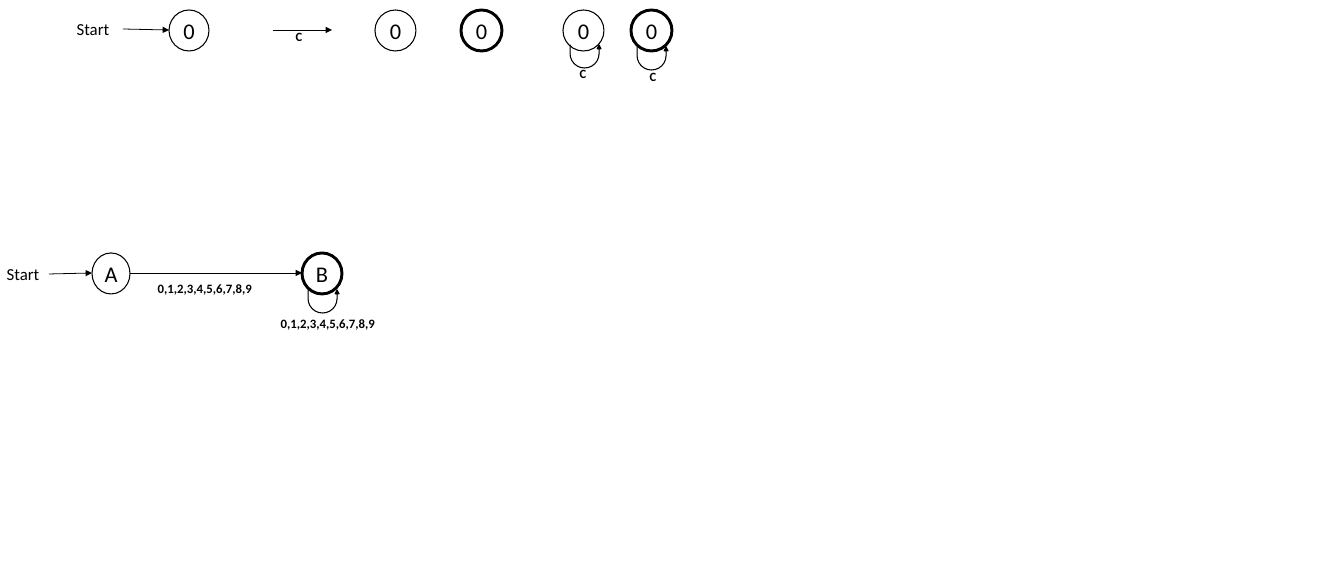
from pptx import Presentation
from pptx.dml.color import RGBColor
from pptx.enum.shapes import MSO_CONNECTOR, MSO_SHAPE
from pptx.enum.text import MSO_ANCHOR, PP_ALIGN
from pptx.oxml.ns import qn
from pptx.util import Pt
from lxml import etree

ELLIPSE, UTURN = MSO_SHAPE.OVAL, MSO_SHAPE.U_TURN_ARROW
STRAIGHT = MSO_CONNECTOR.STRAIGHT
CENTER, MIDDLE = PP_ALIGN.CENTER, MSO_ANCHOR.MIDDLE
PX = 914400 / 76.8
BLACK = "000000"
DIGITS = "0,1,2,3,4,5,6,7,8,9"


def px(*lengths):
    return [round(n * PX) for n in lengths]


def color(hex_string):
    return RGBColor.from_string(hex_string)


prs = Presentation()
prs.slide_width, prs.slide_height = px(1344, 576)
s = prs.slides.add_slide(prs.slide_layouts[6])

states = [
    ("0", 169, 10, 40, 1),
    ("0", 375, 10, 41, 1),
    ("0", 461, 10, 41, 2.75),
    ("0", 563, 10, 41, 1),
    ("0", 631, 10, 41, 2.75),
    ("A", 92, 253, 38, 1),
    ("B", 302, 253, 40, 2.75),
]
for name, x, y, w, weight in states:
    sp = s.shapes.add_shape(ELLIPSE, *px(x, y, w, 41))
    sp.shadow.inherit = False
    sp.fill.background()
    sp.line.color.rgb = color(BLACK)
    sp.line.width = Pt(weight)
    tf = sp.text_frame
    for key, value in {"margin_left": 0, "margin_right": 0, "vertical_anchor": MIDDLE}.items():
        setattr(tf, key, value)
    p = tf.paragraphs[0]
    p.alignment = CENTER
    r = p.add_run()
    r.text = name
    for key, value in {"name": "Calibri", "size": Pt(21)}.items():
        setattr(r.font, key, value)
    r.font.color.rgb = color(BLACK)

for x, y in [(570, 45), (637, 47), (308, 290)]:
    sp = s.shapes.add_shape(UTURN, *px(x, y, 31, 23))
    sp.shadow.inherit = False
    sp.rotation = 180
    sp.element.spPr.find(qn("a:xfrm")).set("flipH", "1")
    for i, value in enumerate([0, 0.085, 0.164, 0.717, 1]):
        sp.adjustments[i] = value
    sp.fill.solid()
    sp.fill.fore_color.rgb = color(BLACK)
    sp.line.color.rgb = color(BLACK)
    sp.line.width = Pt(1)

arrows = [
    (123, 29, 169, 30),
    (273, 30, 332, 30),
    (49, 274, 92, 273),
    (130, 273, 302, 273),
]
for ends in arrows:
    sp = s.shapes.add_connector(STRAIGHT, *px(*ends))
    sp.line.color.rgb = color(BLACK)
    sp.line.width = Pt(0.75)
    etree.SubElement(sp.line._get_or_add_ln(), qn("a:tailEnd"), type="triangle")
    etree.SubElement(sp.element.spPr, qn("a:effectLst"))

labels = [
    ("Start", 69, 15, 54, 28, 15.8, False),
    ("Start", -1, 260, 51, 28, 15.8, False),
    ("C", 288, 25, 17, 23, 11.8, True),
    ("C", 572, 62, 17, 23, 11.8, True),
    ("C", 642, 65, 17, 23, 11.8, True),
    (DIGITS, 150, 277, 131, 23, 12, True),
    (DIGITS, 273, 312, 165, 23, 12, True),
]
for text, x, y, w, h, size, bold in labels:
    tf = s.shapes.add_textbox(*px(x, y, w, h)).text_frame
    tf.word_wrap = True
    r = tf.paragraphs[0].add_run()
    r.text = text
    for key, value in {"name": "Calibri", "size": Pt(size), "bold": bold}.items():
        setattr(r.font, key, value)
    r.font.color.rgb = color(BLACK)

prs.save("out.pptx")
